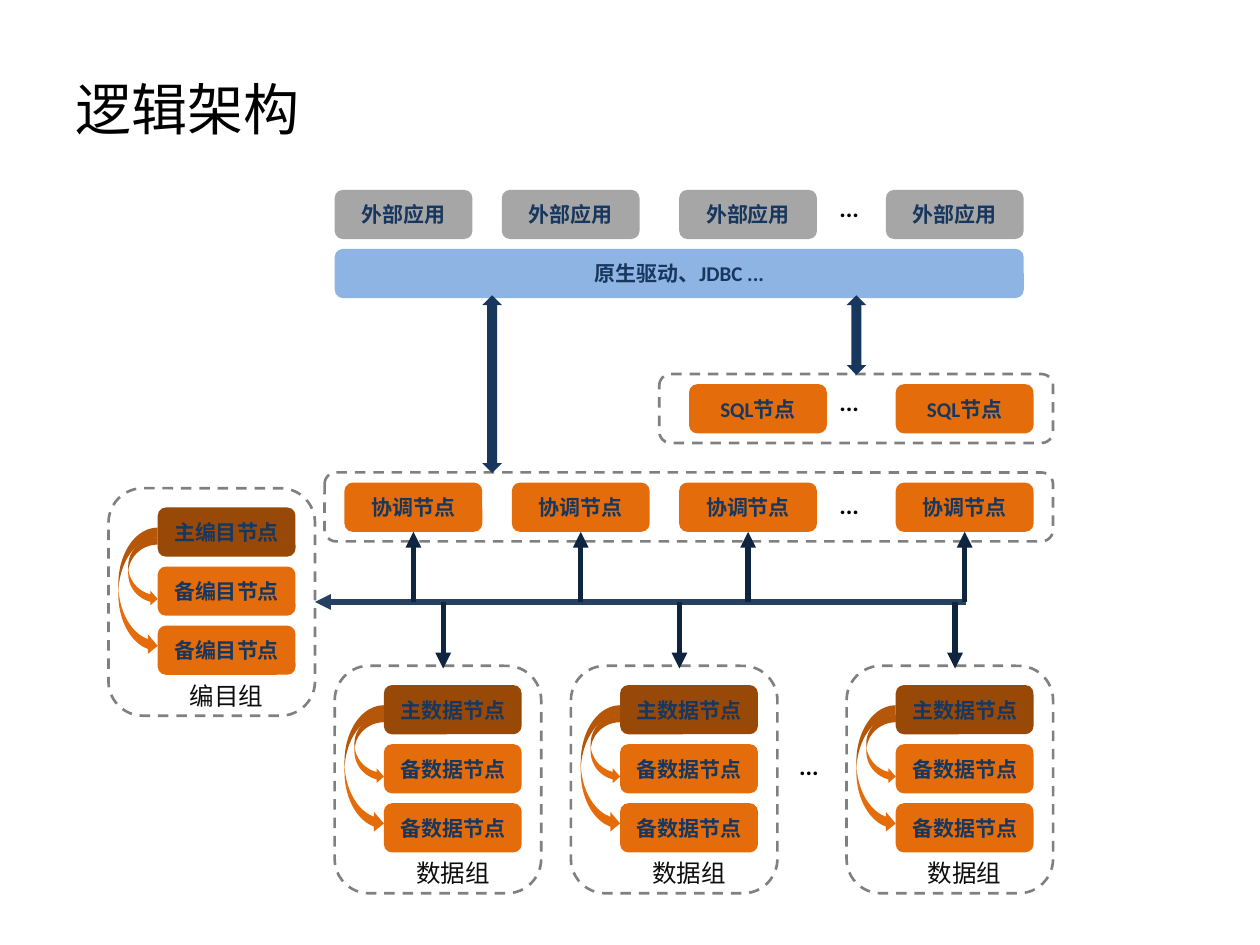
from lxml import etree
from pptx import Presentation
from pptx.dml.color import RGBColor
from pptx.enum.dml import MSO_LINE
from pptx.enum.shapes import MSO_CONNECTOR, MSO_SHAPE
from pptx.enum.text import MSO_ANCHOR, MSO_AUTO_SIZE, PP_ALIGN
from pptx.oxml.ns import qn
from pptx.util import Pt

ROUND = MSO_SHAPE.ROUNDED_RECTANGLE
CURVE = MSO_SHAPE.CURVED_RIGHT_ARROW
UPDOWN = MSO_SHAPE.UP_DOWN_ARROW
STRAIGHT = MSO_CONNECTOR.STRAIGHT
DASH = MSO_LINE.DASH
MIDDLE, TOP = MSO_ANCHOR.MIDDLE, MSO_ANCHOR.TOP
CENTER, LEFT = PP_ALIGN.CENTER, PP_ALIGN.LEFT
GROW, FIXED = MSO_AUTO_SIZE.SHAPE_TO_FIT_TEXT, MSO_AUTO_SIZE.NONE

COLORS = {
    "black": "000000", "label": "0D0D0D", "navy": "17375E",
    "main": "984807", "node": "E46C0A", "app": "A6A6A6",
    "driver": "8EB4E3", "frame": "808080", "bus": "254061", "link": "0F243E",
}
NODE = {"size": Pt(12), "name": "Calibri", "bold": True}
DOTS = {"size": Pt(14), "name": "Calibri", "bold": True}
LABEL = {"size": Pt(14), "name": "Calibri", "bold": False}
TITLE = {"size": Pt(32), "name": "Arial", "bold": False}

# Node size and the row of dots
NODE_W, NODE_H = 78.75, 28.13
DOTS_X = 472.5


def rgb(name):
    return RGBColor.from_string(COLORS[name])


def write(shape, text, font, color, align=LEFT):
    para = shape.text_frame.paragraphs[0]
    para.alignment = align
    run = para.add_run()
    run.text = text
    for key, value in font.items():
        setattr(run.font, key, value)
    run.font.color.rgb = rgb(color)


def add_shape(slide, kind, box, fill=None):
    shape = slide.shapes.add_shape(kind, *map(Pt, box))
    shape.shadow.inherit = False
    shape.line.fill.background()
    if fill:
        shape.fill.solid()
        shape.fill.fore_color.rgb = rgb(fill)
    else:
        shape.fill.background()
    return shape


def add_node(slide, x, y, text, fill="node", width=NODE_W):
    node = add_shape(slide, ROUND, (x, y, width, NODE_H), fill)
    node.text_frame.vertical_anchor = MIDDLE
    write(node, text, NODE, "navy", CENTER)
    return node


def add_frame(slide, box):
    frame = add_shape(slide, ROUND, box)
    frame.line.color.rgb = rgb("frame")
    frame.line.width = Pt(1.5)
    frame.line.dash_style = DASH
    return frame


def add_text(slide, box, text, font, color, wrap=False, anchor=TOP):
    item = slide.shapes.add_textbox(*map(Pt, box))
    form = {"word_wrap": wrap, "vertical_anchor": anchor,
            "auto_size": FIXED if wrap else GROW}
    for key, value in form.items():
        setattr(item.text_frame, key, value)
    write(item, text, font, color)


def add_dots(slide, x, y):
    add_text(slide, (x, y, 26, 24.25), "...", DOTS, "black")


def add_line(slide, start, end, color, tip):
    line = slide.shapes.add_connector(STRAIGHT, *map(Pt, start + end))
    line.line.color.rgb = rgb(color)
    line.line.width = Pt(3)
    etree.SubElement(line.line._get_or_add_ln(), qn(f"a:{tip}"), type="triangle")
    etree.SubElement(line._element.spPr, qn("a:effectLst"))
    return line


def add_group(slide, x, y, kind):
    """One main node with two standbys in a dashed frame."""
    for i, (role, fill) in enumerate([("主", "main"), ("备", "node"), ("备", "node")]):
        add_node(slide, x + 28.13, y + 11 + 33.75 * i, f"{role}{kind}节点", fill)
    frame = add_frame(slide, (x, y, 118, 130))
    for dx, dy, w, h in [(11.25, 28, 16.88, 39.5), (5.63, 22.5, 22.5, 73.25)]:
        add_shape(slide, CURVE, (x + dx, y + dy, w, h), "node")
    add_text(slide, (x + 39.4, y + 106.5, 57, 24.25), f"{kind}组", LABEL, "label")
    return frame


def add_apps(slide, x, y):
    """Outside applications above the driver bar."""
    for dx in (0, 95.5, 196.88, 315):
        add_node(slide, x + dx, y, "外部应用", "app")
    add_node(slide, x, y + 33.75, "原生驱动、JDBC ...", "driver", 393.75)
    add_dots(slide, DOTS_X, y - 2)


def add_row(slide, box, text, spots, dots):
    """A dashed frame with nodes at the given left edges."""
    x, y, w, h = box
    add_frame(slide, box)
    nodes = [add_node(slide, spot, y + 5.8, text) for spot in spots]
    add_dots(slide, DOTS_X, y + dots)
    return nodes


def add_bus(slide, y, home, nodes, groups):
    """The bus from the catalog group, with links up and down."""
    bus = add_line(slide, (180, y), (552, y), "bus", "headEnd")
    bus.begin_connect(home, 3)
    for group in groups:
        x = group.left.pt + 62
        add_line(slide, (x, y), (x, group.top.pt + 1.5), "link", "tailEnd")
    for node in nodes:
        x = node.left.pt + NODE_W / 2
        link = add_line(slide, (x, y), (x, y - 40), "link", "tailEnd")
        link.end_connect(node, 2)


def main():
    deck = Presentation()
    deck.slide_width, deck.slide_height = Pt(720), Pt(540)
    slide = deck.slides.add_slide(deck.slide_layouts[6])

    add_text(slide, (36, 16.5, 648, 90), "逻辑架构", TITLE, "black", True, MIDDLE)

    # Data groups and catalog group
    groups = [add_group(slide, x, 380.5, "数据") for x in (191.25, 326.25, 483.75)]
    add_dots(slide, 449.5, 425.5)
    home = add_group(slide, 62, 279, "编目")

    # Access layers
    add_apps(slide, 191.25, 108.5)
    add_row(slide, (376.75, 213.75, 225, 39.4), "SQL节点", (393.75, 511.88), 3.7)
    nodes = add_row(slide, (185.5, 270, 416.25, 39.4), "协调节点",
                    (196.88, 292.5, 388.13, 511.88), 6.5)

    # Links between layers
    add_bus(slide, 344, home, nodes, groups)
    for x, h in ((275.6, 101.5), (483.75, 45.5)):
        add_shape(slide, UPDOWN, (x, 168.75, 11.25, h), "navy")

    deck.save("out.pptx")


if __name__ == "__main__":
    main()
